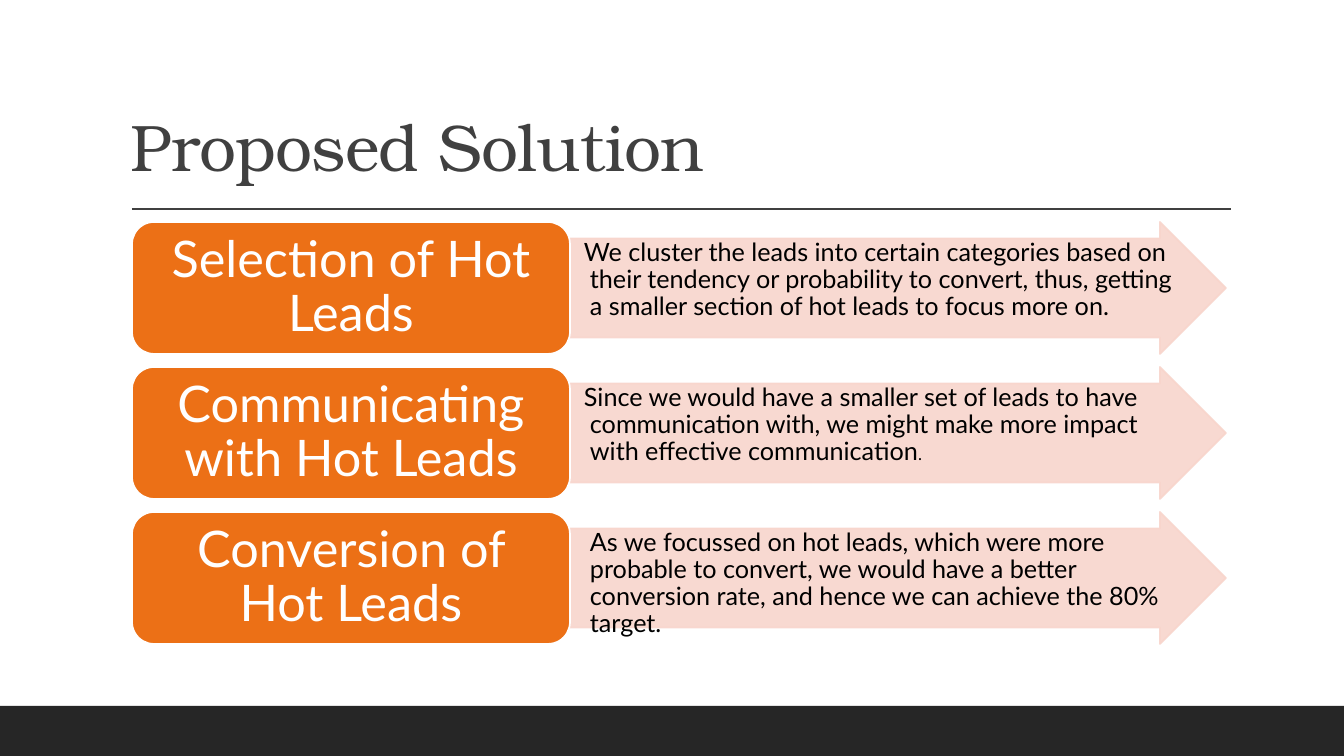
from lxml import etree
from pptx import Presentation, util as u
from pptx.dml.color import RGBColor
from pptx.enum import shapes, text
from pptx.oxml.ns import qn

COLOURS = {"dark": "262626", "heading": "404040", "label": "EC7016",
           "arrow": "F8D5CC", "white": "FFFFFF", "black": "000000"}
PX = 914400 / 100.8
STEPS = [
    ("Selection of Hot Leads", 13,
     [("We cluster the leads into certain categories based on their tendency or "
       "probability to convert, thus, getting a smaller section of hot leads to "
       "focus more on.", 18)]),
    ("Communicating with Hot Leads", 13,
     [("Since we would have a smaller set of leads to have communication with, "
       "we might make more impact with effective communication", 18), (".", 12)]),
    ("Conversion of Hot Leads", 19,
     [("As we focussed on hot leads, which were more probable to convert, we would "
       "have a better conversion rate, and hence we can achieve the 80% target.", 18)]),
]


def px(value):
    return u.Emu(round(value * PX))


def colour(name):
    return RGBColor.from_string(COLOURS[name])


def set_alpha(fill_format, percent):
    """Make a solid fill partly transparent; percent is its opacity."""
    element = fill_format.fore_color._xFill.find(qn("a:srgbClr"))
    etree.SubElement(element, qn("a:alpha")).set("val", str(percent * 1000))


def write(shape, spans, font="Lato", fill="black", align=text.PP_ALIGN.LEFT,
          anchor=text.MSO_ANCHOR.TOP, insets=(1, 1), indent=0, first=0, spacing=None):
    """Fill a shape with one paragraph of (wording, point size) spans."""
    frame = shape.text_frame
    frame.word_wrap = True
    frame.auto_size = text.MSO_AUTO_SIZE.NONE
    frame.vertical_anchor = anchor
    frame.margin_left = frame.margin_right = px(insets[0])
    frame.margin_top = frame.margin_bottom = px(insets[1])
    para = frame.paragraphs[0]
    para.alignment = align
    para.line_spacing = 0.9
    if indent:
        properties = para._p.get_or_add_pPr()
        properties.set("marL", str(px(indent)))
        properties.set("indent", str(px(first - indent)))
    for wording, size in spans:
        span = para.add_run()
        span.text = wording
        span.font.name = font
        span.font.size = u.Pt(size)
        span.font.color.rgb = colour(fill)
        if spacing:
            span.font._element.set("spc", str(spacing))


class SlideBuilder:
    def __init__(self, deck):
        self.page = deck.slides.add_slide(deck.slide_layouts[5])

    def shape(self, kind, box, fill, line=None, alpha=None):
        shape = self.page.shapes.add_shape(kind, *map(px, box))
        shape.shadow.inherit = False
        shape.fill.solid()
        shape.fill.fore_color.rgb = colour(fill)
        if line:
            shape.line.color.rgb = colour(line)
            shape.line.width = u.Pt(1.25)
        else:
            shape.line.fill.background()
        if alpha:
            set_alpha(shape.fill, alpha)
            set_alpha(shape.line.fill, alpha)
        return shape

    def rule(self, left, right, top):
        line = self.page.shapes.add_connector(
            shapes.MSO_CONNECTOR.STRAIGHT, px(left), px(top), px(right), px(top))
        line.line.color.rgb = colour("heading")
        line.line.width = u.Pt(1)
        etree.SubElement(line._element.spPr, qn("a:effectLst"))

    def title(self, wording, box):
        title = self.page.shapes.title
        title.left, title.top, title.width, title.height = map(px, box)
        write(title, [(wording, 47)], font="TeX Gyre Bonum", fill="heading",
              anchor=text.MSO_ANCHOR.BOTTOM, insets=(10, 5), spacing=-50)

    def step(self, top, label, first, spans):
        """Add an arrow with its explanation and the label box to its left."""
        arrow = self.shape(shapes.MSO_SHAPE.RIGHT_ARROW, (570, top, 656, 132),
                           "arrow", line="arrow", alpha=90)
        arrow.adjustments[0], arrow.adjustments[1] = 0.75, 0.5
        write(arrow, spans, indent=19, first=first)
        box = self.shape(shapes.MSO_SHAPE.ROUNDED_RECTANGLE, (132, top, 438, 132),
                         "label", line="white")
        write(box, [(label, 36)], fill="white", align=text.PP_ALIGN.CENTER,
              anchor=text.MSO_ANCHOR.MIDDLE, insets=(15, 7))


def main():
    deck = Presentation()
    deck.slide_width, deck.slide_height = px(1344), px(756)
    slide = SlideBuilder(deck)
    slide.shape(shapes.MSO_SHAPE.RECTANGLE, (0, 706, 1344, 50), "dark")
    slide.rule(132, 1231, 209)
    slide.title("Proposed Solution", (121, 31, 1109, 160))
    for row, (label, first, spans) in enumerate(STEPS):
        slide.step(222 + 145 * row, label, first, spans)
    deck.save("out.pptx")


if __name__ == "__main__":
    main()
